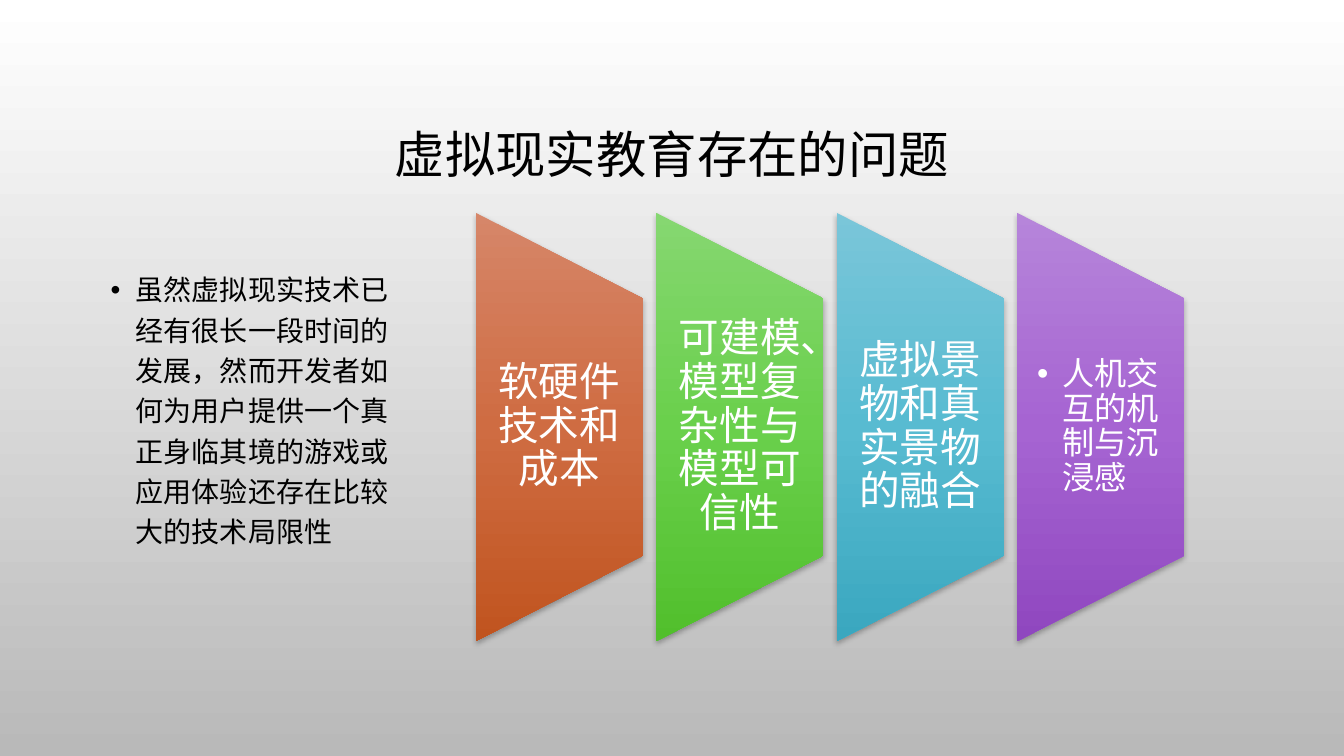
from dataclasses import dataclass

from lxml import etree
from pptx import Presentation
from pptx import util as u
from pptx.dml.color import RGBColor
from pptx.enum import shapes, text
from pptx.oxml import ns


@dataclass(frozen=True)
class Theme:
    font: str = "Calibri"
    ink: str = "000000"
    light: str = "FFFFFF"
    backdrop: tuple = ("FFFFFF", "B9B9B9")
    orange: tuple = ("D68669", "CF6C42", "C0541F")
    green: tuple = ("86D771", "6AD04C", "51BF2C")
    blue: tuple = ("7AC6D9", "58BBD1", "3AA7BF")
    purple: tuple = ("B685DA", "A664D2", "8F47BF")
    title_size: float = 36
    body_size: float = 20
    label_size: float = 29
    bullet_label_size: float = 23


THEME = Theme()
BAR_LEFT, BAR_TOP, BAR_WIDTH, BAR_HEIGHT, BAR_PITCH = 339.8, 152, 119.5, 306, 128.9
LABEL_HEIGHT = 183.6


def add_node(parent, tag, **attributes):
    node = etree.SubElement(parent, ns.qn(tag))
    for name, value in attributes.items():
        node.set(name, str(value))
    return node


def apply(target, values):
    for name, value in values.items():
        setattr(target, name, value)


def place(shape, left, top, width, height):
    apply(shape, {"left": u.Pt(left), "top": u.Pt(top),
                  "width": u.Pt(width), "height": u.Pt(height)})


def paint_gradient(fill, root, colours):
    """Fill from top to bottom with evenly spaced colours."""
    fill.gradient()
    fill.gradient_angle = 270
    gradient = root.xpath(".//a:gradFill")[0]
    gradient.set("rotWithShape", "0")
    stops = gradient.find(ns.qn("a:gsLst"))
    for stop in list(stops):
        stops.remove(stop)
    for index, colour in enumerate(colours):
        stop = add_node(stops, "a:gs", pos=100000 * index // (len(colours) - 1))
        add_node(stop, "a:srgbClr", val=colour)


def write_text(frame, words, size, colour, line_spacing=0.9, centred=True, **spacing):
    frame.word_wrap = True
    para = frame.paragraphs[0]
    apply(para, {"line_spacing": line_spacing, **spacing})
    para.alignment = text.PP_ALIGN.CENTER if centred else text.PP_ALIGN.LEFT
    span = para.add_run()
    span.text = words
    apply(span.font, {"name": THEME.font, "size": u.Pt(size)})
    span.font.color.rgb = RGBColor.from_string(colour)
    return para


def add_bullet(para):
    properties = para._p.get_or_add_pPr()
    properties.set("marL", str(u.Pt(18)))
    properties.set("indent", str(u.Pt(-18)))
    add_node(properties, "a:buFont", typeface="Arial")
    add_node(properties, "a:buChar", char="•")


def add_title(slide, words):
    title = slide.shapes.title
    place(title, 72, 49, 816, 126)
    title.text_frame.vertical_anchor = text.MSO_ANCHOR.MIDDLE
    write_text(title.text_frame, words, THEME.title_size, THEME.ink)


def add_intro(slide, words):
    box = slide.shapes.add_textbox(u.Pt(72), u.Pt(186.5), u.Pt(232.5), u.Pt(191.5))
    para = write_text(box.text_frame, words, THEME.body_size, THEME.ink,
                      line_spacing=1.2, centred=False, space_before=u.Pt(10))
    add_bullet(para)


def add_bar(slide, left, colours):
    # The preset lies flat and is turned upright about its centre
    bar = slide.shapes.add_shape(
        shapes.MSO_SHAPE.FLOWCHART_MANUAL_OPERATION, 0, 0, 0, 0)
    shift = (BAR_HEIGHT - BAR_WIDTH) / 2
    place(bar, left - shift, BAR_TOP + shift, BAR_HEIGHT, BAR_WIDTH)
    bar.rotation = 270
    paint_gradient(bar.fill, bar.element, colours)
    bar.line.fill.background()

    # Soft shadow below
    bar.shadow.inherit = False
    effects = bar.element.spPr.find(ns.qn("a:effectLst"))
    shadow = add_node(effects, "a:outerShdw", blurRad=u.Pt(4), dist=u.Pt(2),
                      dir=5400000, algn="ctr", rotWithShape=0)
    add_node(add_node(shadow, "a:srgbClr", val="000000"), "a:alpha", val=28000)


def add_label(slide, left, words, bulleted):
    top = BAR_TOP + (BAR_HEIGHT - LABEL_HEIGHT) / 2
    box = slide.shapes.add_textbox(
        u.Pt(left), u.Pt(top), u.Pt(BAR_WIDTH), u.Pt(LABEL_HEIGHT))
    apply(box.text_frame, {
        "vertical_anchor": text.MSO_ANCHOR.MIDDLE,
        "margin_left": u.Pt(14.4), "margin_right": u.Pt(14.4),
        "margin_top": 0, "margin_bottom": 0})
    size = THEME.bullet_label_size if bulleted else THEME.label_size
    para = write_text(box.text_frame, words, size, THEME.light, centred=not bulleted)
    if bulleted:
        add_bullet(para)


def main():
    deck = Presentation()
    apply(deck, {"slide_width": u.Pt(960), "slide_height": u.Pt(540)})
    page = deck.slides.add_slide(deck.slide_layouts[5])
    paint_gradient(page.background.fill, page.element, THEME.backdrop)

    add_title(page, "虚拟现实教育存在的问题")
    add_intro(page, "虽然虚拟现实技术已经有很长一段时间的发展，然而开发者如何为用户"
                    "提供一个真正身临其境的游戏或应用体验还存在比较大的技术局限性")

    # Four problems, side by side
    problems = [
        ("软硬件技术和成本", THEME.orange, False),
        ("可建模、模型复杂性与模型可信性", THEME.green, False),
        ("虚拟景物和真实景物的融合", THEME.blue, False),
        ("人机交互的机制与沉浸感", THEME.purple, True),
    ]
    for index, (words, colours, bulleted) in enumerate(problems):
        left = BAR_LEFT + index * BAR_PITCH
        add_bar(page, left, colours)
        add_label(page, left, words, bulleted)

    deck.save("out.pptx")


if __name__ == "__main__":
    main()
